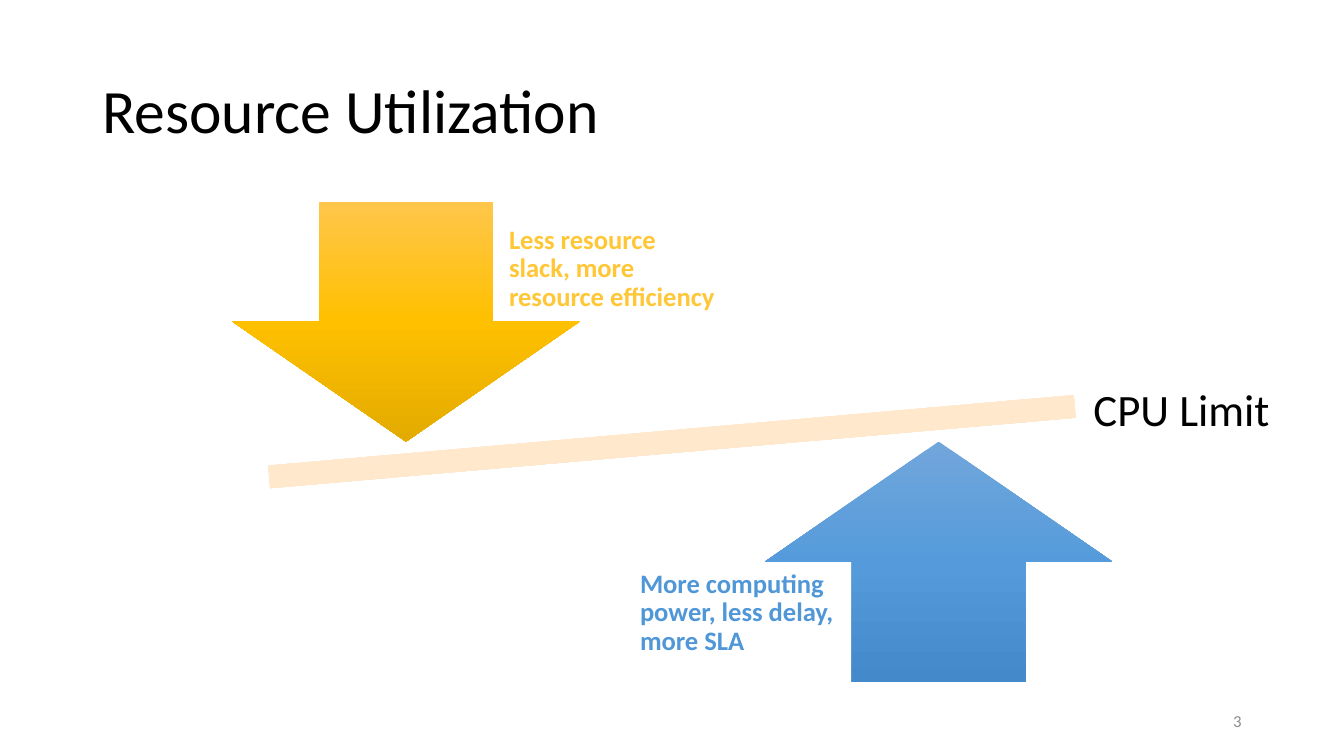
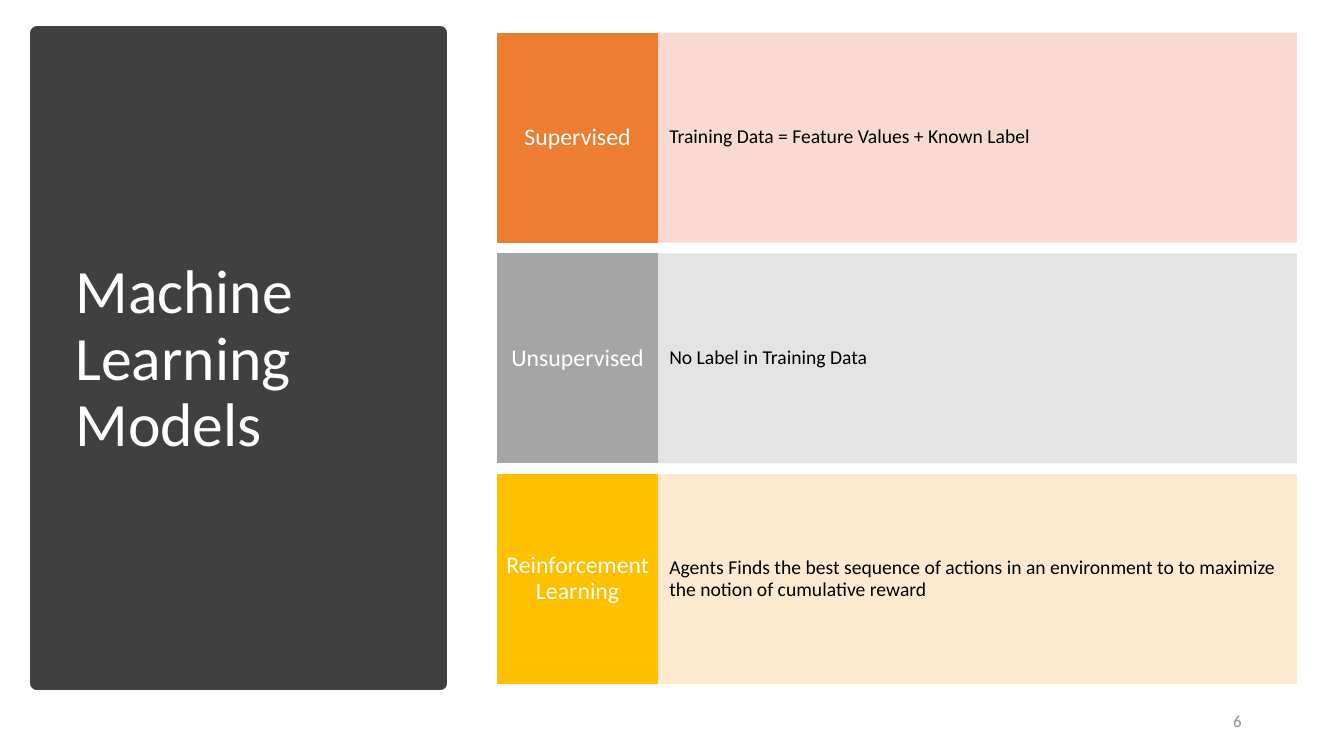
from copy import deepcopy

from lxml import etree
from pptx import Presentation
from pptx.dml.color import RGBColor
from pptx.enum.shapes import MSO_SHAPE
from pptx.enum.text import MSO_ANCHOR, PP_ALIGN
from pptx.oxml.ns import qn
from pptx.util import Pt

RECT = MSO_SHAPE.RECTANGLE
MINUS = MSO_SHAPE.MATH_MINUS
DOWN = MSO_SHAPE.DOWN_ARROW
UP = MSO_SHAPE.UP_ARROW
MIDDLE = MSO_ANCHOR.MIDDLE
TOP = MSO_ANCHOR.TOP
LEFT = PP_ALIGN.LEFT
CENTER = PP_ALIGN.CENTER
RIGHT = PP_ALIGN.RIGHT

FONT = "Calibri"
BLACK = "000000"
WHITE = "FFFFFF"
DARK = "404040"
GRAY = "8C8C8C"
SIZE = 44
TIGHT = 0.9


def color(code):
    return RGBColor.from_string(code)


def write(shape, text, size, code, align=LEFT, anchor=MIDDLE,
          space=TIGHT, bold=False, inset=(7.2, 3.6)):
    frame = shape.text_frame
    frame.word_wrap = True
    frame.vertical_anchor = anchor
    frame.margin_left = frame.margin_right = Pt(inset[0])
    frame.margin_top = frame.margin_bottom = Pt(inset[1])
    para = frame.paragraphs[0]
    para.alignment = align
    para.line_spacing = space
    run = para.add_run()
    run.text = text
    run.font.name = FONT
    run.font.size = Pt(size)
    run.font.bold = bold
    run.font.color.rgb = color(code)


deck = Presentation()
deck.slide_width = Pt(960)
deck.slide_height = Pt(540)
blank = deck.slide_layouts[6]

scale = deck.slides.add_slide(blank)
models = deck.slides.add_slide(blank)

title = scale.shapes.add_textbox(Pt(66), Pt(28.8), Pt(828), Pt(104.4))
write(title, "Resource Utilization", SIZE, BLACK)

forms = [
    (MINUS, 87, 281, 786, 69, 355, ("FFEED8", "FFE8CC", "E5CFB3")),
    (DOWN, 166, 144, 248, 171.4, 0, ("FFC64B", "FFC000", "E3AB00")),
    (UP, 546.5, 315.4, 248, 171.4, 0, ("71A6DB", "559BDB", "448ACA")),
]
for kind, x, y, wide, high, turn, codes in forms:
    form = scale.shapes.add_shape(kind, Pt(x), Pt(y), Pt(wide), Pt(high))
    form.shadow.inherit = False
    form.rotation = turn
    form.line.fill.background()
    form.fill.gradient()
    form.fill.gradient_angle = 270
    stops = form._element.spPr.find(qn("a:gradFill")).find(qn("a:gsLst"))
    stops.append(deepcopy(stops[0]))
    for stop, code, place in zip(form.fill.gradient_stops, codes, (0, 0.5, 1)):
        stop.color.rgb = color(code)
        stop.position = place

notes = [
    (352.8, 146.2, 173.5, 92.2, "FFC636",
     "Less resource slack, more resource efficiency"),
    (446.4, 390.2, 177.1, 95.8, "5097D7",
     "More computing power, less delay, more SLA"),
]
for x, y, wide, high, code, text in notes:
    note = scale.shapes.add_textbox(Pt(x), Pt(y), Pt(wide), Pt(high))
    write(note, text, 19, code, bold=True, inset=(10.8, 10.8))

limit = scale.shapes.add_textbox(Pt(774), Pt(269.3), Pt(172), Pt(46))
write(limit, "CPU Limit", 32, BLACK, anchor=TOP, space=1)

panel = models.shapes.add_shape(RECT, Pt(26.6), Pt(23.8), Pt(288), Pt(464.4))
panel.shadow.inherit = False
panel.fill.solid()
panel.fill.fore_color.rgb = color(DARK)
panel.line.color.rgb = color(DARK)
panel.line.width = Pt(10)
title = models.shapes.add_textbox(Pt(46.8), Pt(50.4), Pt(249), Pt(414))
write(title, "Machine Learning Models", SIZE, WHITE)

rows = [
    ("Supervised", "Training Data = Feature Values + Known Label",
     "ED7D31", "F8D7CE"),
    ("Unsupervised", "No Label in Training Data", "A5A5A5", "E1E1E1"),
    ("Reinforcement Learning",
     "Agents Finds the best sequence of actions in an environment to "
     "to maximize the notion of cumulative reward", "FFC000", "FFE8CC"),
]
high = 149
gap = 8.7
for i, (name, text, deep, pale) in enumerate(rows):
    y = 23.8 + i * (high + gap)
    cells = [
        (469.5, 456.5, pale, 90, text, 14, BLACK, LEFT, (8.6, 37.4)),
        (355.7, 113.8, deep, 100, name, 17, WHITE, CENTER, (5.8, 14.4)),
    ]
    for x, wide, code, alpha, words, size, ink, align, inset in cells:
        cell = models.shapes.add_shape(RECT, Pt(x), Pt(y), Pt(wide), Pt(high))
        cell.shadow.inherit = False
        cell.fill.solid()
        cell.fill.fore_color.rgb = color(code)
        cell.line.color.rgb = color(code)
        cell.line.width = Pt(1)
        if alpha < 100:
            for tint in list(cell._element.spPr.iter(qn("a:srgbClr"))):
                etree.SubElement(tint, qn("a:alpha"), val=str(alpha * 1000))
        write(cell, words, size, ink, align, inset=inset)

for slide, mark in ((scale, "3"), (models, "6")):
    foot = slide.shapes.add_textbox(Pt(678), Pt(500.4), Pt(216), Pt(28.8))
    write(foot, mark, 12, GRAY, RIGHT, space=1)

deck.save("out.pptx")
